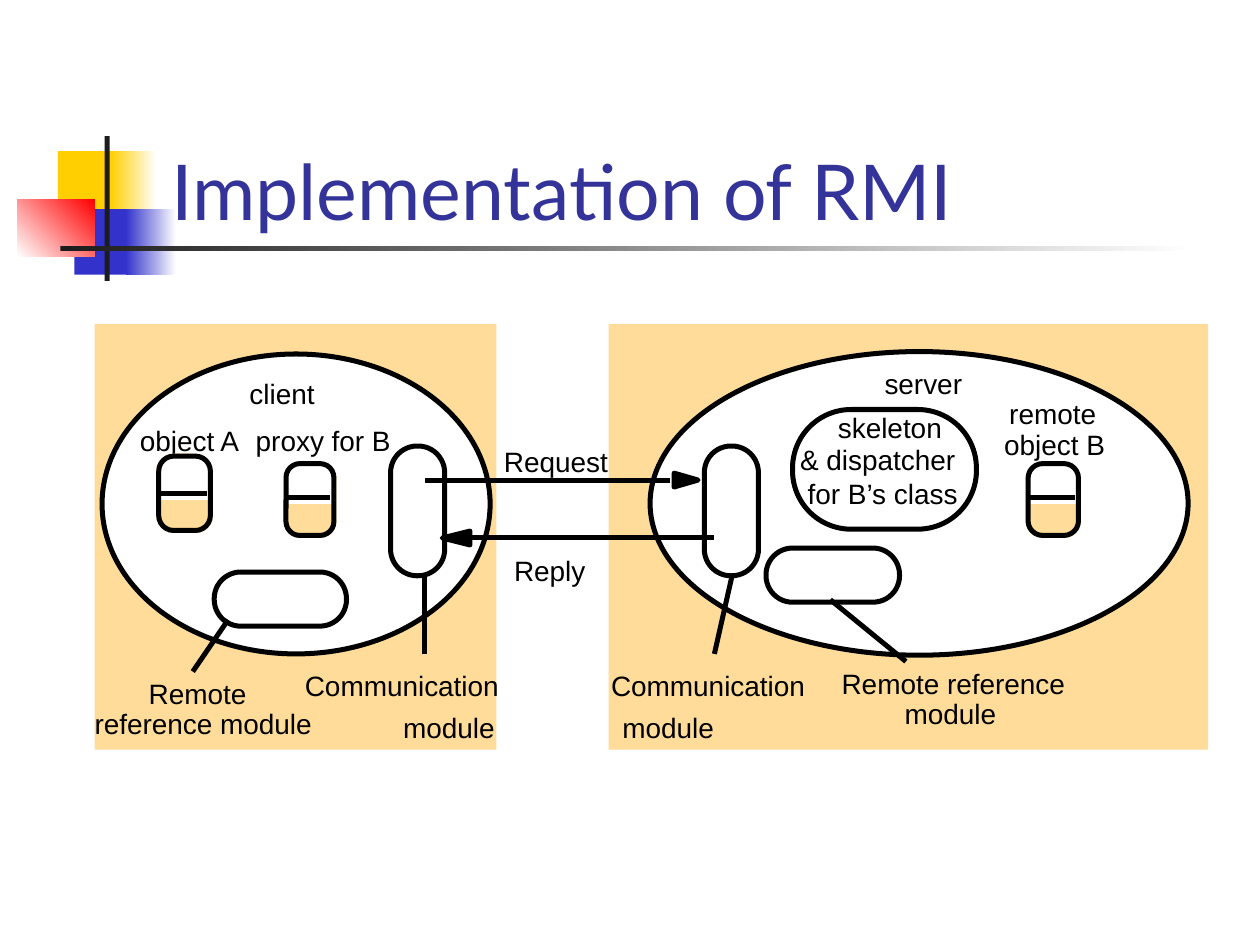
from pptx import Presentation
from pptx.dml.color import RGBColor
from pptx.enum.shapes import MSO_CONNECTOR, MSO_SHAPE
from pptx.enum.text import MSO_ANCHOR, MSO_AUTO_SIZE, PP_ALIGN
from pptx.oxml.ns import qn
from pptx.util import Inches, Pt
from lxml.etree import SubElement

BLACK, WHITE, TAN = "000000", "FFFFFF", "FFDC99"
YELLOW, BLUE, RED, DARK = "FFCF01", "3333CC", "FF0000", "1C1C1C"
RECT, ROUND, OVAL = MSO_SHAPE.RECTANGLE, MSO_SHAPE.ROUNDED_RECTANGLE, MSO_SHAPE.OVAL


def color(value):
    return RGBColor.from_string(value)


class Diagram:
    """Draws styled elements on the current slide."""

    def __init__(self, s):
        self.s = s
        self.font = "Arial"
        self.size = Pt(16)
        self.weight = Pt(2.86)

    def title(self, text, x, y, w, h):
        sp = self.s.shapes.title
        sp.left, sp.top, sp.width, sp.height = map(Inches, (x, y, w, h))
        tf = sp.text_frame
        tf.text = text
        tf.auto_size = MSO_AUTO_SIZE.NONE
        tf.vertical_anchor = MSO_ANCHOR.BOTTOM
        p = tf.paragraphs[0]
        p.alignment = PP_ALIGN.LEFT
        p.font.name, p.font.size = "Lato", Pt(44)
        p.font.color.rgb = color("333399")

    def stroke(self, line, value):
        line.color.rgb = color(value)
        line.width = self.weight
        SubElement(line._get_or_add_ln(), qn("a:round"))

    def paint(self, sp, fill, line):
        sp.shadow.inherit = False
        if fill:
            sp.fill.solid()
            sp.fill.fore_color.rgb = color(fill)
        else:
            sp.fill.background()
        if line:
            self.stroke(sp.line, line)
        else:
            sp.line.fill.background()

    def shape(self, kind, x, y, w, h, fill=None, line=None, adj=None):
        sp = self.s.shapes.add_shape(kind, *map(Inches, (x, y, w, h)))
        self.paint(sp, fill, line)
        if adj is not None:
            sp.adjustments[0] = adj
        return sp

    def fade(self, x, y, w, h, start, end, angle=0):
        sp = self.shape(RECT, x, y, w, h)
        sp.fill.gradient()
        sp.fill.gradient_angle = angle
        for stop, value in zip(sp.fill.gradient_stops, (start, end)):
            stop.color.rgb = color(value)

    def line(self, x1, y1, x2, y2):
        c = self.s.shapes.add_connector(
            MSO_CONNECTOR.STRAIGHT, *map(Inches, (x1, y1, x2, y2)))
        self.stroke(c.line, BLACK)
        SubElement(c._element.spPr, qn("a:effectLst"))

    def arrowhead(self, base, tip, y, half=0.055):
        fb = self.s.shapes.build_freeform(Inches(base), Inches(y - half), scale=1.0)
        fb.add_line_segments(
            [(Inches(tip), Inches(y)), (Inches(base), Inches(y + half))], close=True)
        self.paint(fb.convert_to_shape(), BLACK, BLACK)

    def label(self, text, x, y, w):
        tf = self.s.shapes.add_textbox(*map(Inches, (x, y, w, 0.27))).text_frame
        tf.margin_left = tf.margin_right = tf.margin_top = tf.margin_bottom = 0
        tf.word_wrap = False
        tf.auto_size = MSO_AUTO_SIZE.SHAPE_TO_FIT_TEXT
        tf.text = text
        p = tf.paragraphs[0]
        p.font.name, p.font.size = self.font, self.size
        p.font.color.rgb = color(BLACK)

    def module(self, x, y, w, h, adj=0.49):
        self.shape(ROUND, x, y, w, h, line=BLACK, adj=adj)

    def object_box(self, x, y, w, h, middle, inset=(0, 0)):
        dx, dy = inset
        self.shape(ROUND, x, y, w, h, TAN, TAN, 0.29)
        self.shape(RECT, x + dx, y + dy, w - dx, middle - y - dy + 0.03, WHITE, WHITE)
        self.shape(ROUND, x, y, w, h, line=BLACK, adj=0.29)
        self.line(x, middle, x + w - 0.03, middle)


def main():
    prs = Presentation()
    prs.slide_width, prs.slide_height = Inches(10), Inches(7.5)
    s = prs.slides.add_slide(prs.slide_layouts[5])
    d = Diagram(s)

    d.shape(RECT, 0.46, 1.2, 0.48, 0.52, YELLOW)
    d.fade(0.88, 1.2, 0.36, 0.52, YELLOW, WHITE)
    d.shape(RECT, 0.59, 1.66, 0.46, 0.52, BLUE)
    d.fade(1, 1.66, 0.4, 0.52, BLUE, WHITE)
    d.fade(0.14, 1.58, 0.61, 0.46, WHITE, RED, 45)
    d.shape(RECT, 0.83, 1.08, 0.04, 1.15, DARK)
    d.fade(0.48, 1.95, 9, 0.04, DARK, WHITE)
    d.title("Implementation of RMI", 1.26, 0.67, 8.52, 1.25)

    for x, w in ((0.75, 3.19), (4.83, 4.76)):
        d.shape(RECT, x, 2.57, w, 3.38, TAN)
    d.shape(OVAL, 5.16, 2.79, 4.27, 2.41, WHITE, BLACK)
    d.shape(OVAL, 0.81, 2.81, 3.08, 2.38, WHITE, BLACK)

    for x in (3.1, 5.59):
        d.module(x, 3.54, 0.43, 1.03)
    d.module(1.7, 4.54, 1.05, 0.43)
    d.module(6.08, 4.35, 1.06, 0.43)
    d.module(6.29, 3.25, 1.46, 0.95)

    for base, tip, start, end, y in ((5.35, 5.54, 5.32, 3.37, 3.81),
                                     (3.73, 3.51, 3.73, 5.67, 4.27)):
        d.arrowhead(base, tip, y)
        d.line(start, y, end, y)

    for ends in ((5.67, 5.19, 5.81, 4.57), (3.37, 5.19, 3.37, 4.57),
                 (1.53, 5.33, 1.81, 4.92), (7.19, 5.25, 6.59, 4.76)):
        d.line(*ends)

    for text, x, y, w in (
            ("client", 1.98, 2.99, 0.52),
            ("object A", 1.11, 3.36, 0.8),
            ("proxy for B", 2.03, 3.36, 1.1),
            ("Remote", 1.18, 5.37, 0.78),
            ("reference module", 0.75, 5.61, 1.75),
            ("Communication", 2.42, 5.31, 1.54),
            ("module", 3.2, 5.64, 0.73),
            ("Request", 4, 3.53, 0.83),
            ("Reply", 4.08, 4.39, 0.57),
            ("server", 7.02, 2.91, 0.62),
            ("skeleton", 6.65, 3.26, 0.83),
            ("& dispatcher", 6.35, 3.51, 1.26),
            ("for B’s class", 6.41, 3.78, 1.22),
            ("remote", 8.01, 3.15, 0.69),
            ("object B", 7.97, 3.39, 0.83),
            ("Communication", 4.85, 5.31, 1.54),
            ("module", 4.94, 5.64, 0.73),
            ("Remote reference", 6.68, 5.29, 1.8),
            ("module", 7.18, 5.53, 0.73)):
        d.label(text, x, y, w)

    d.object_box(1.26, 3.62, 0.41, 0.59, 3.92, (0.03, 0.03))
    d.object_box(2.27, 3.68, 0.38, 0.57, 3.95)
    d.object_box(8.16, 3.68, 0.4, 0.57, 3.95, (0.03, 0))

    prs.save("out.pptx")


if __name__ == "__main__":
    main()
